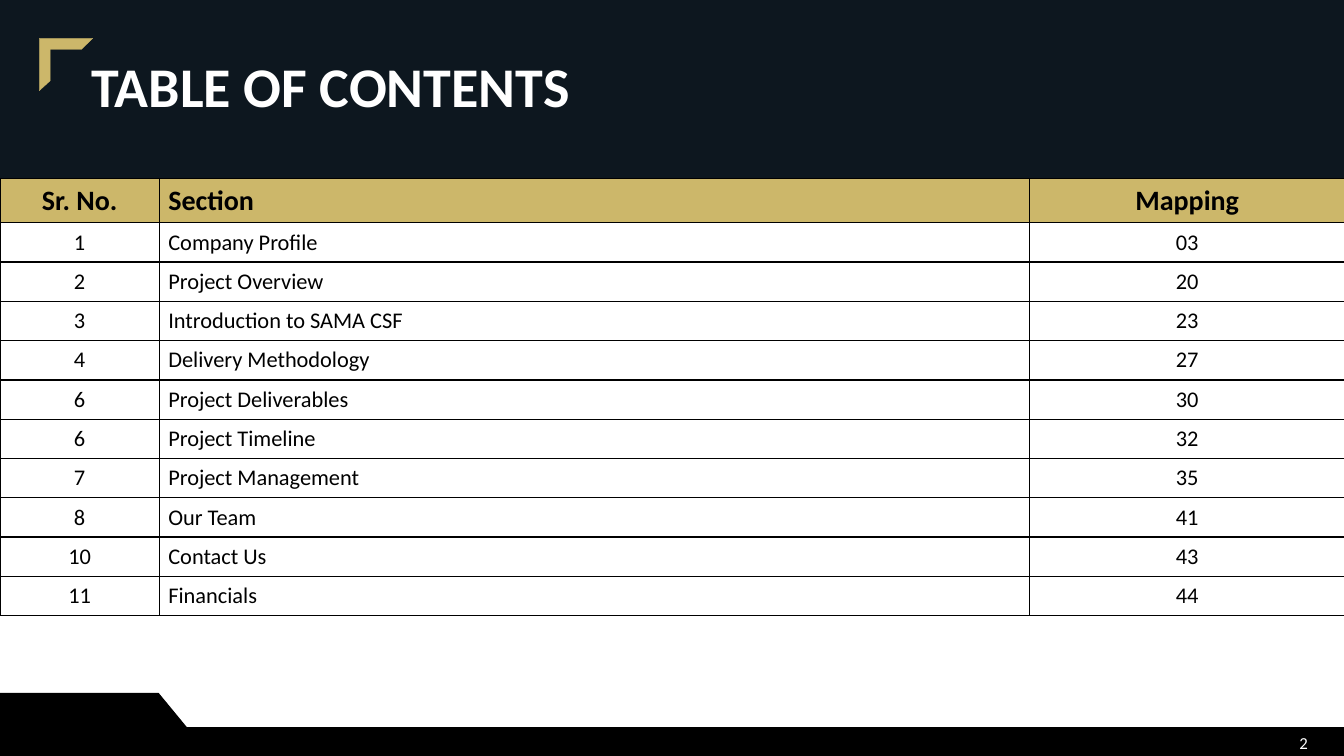
"""Build the table of contents slide."""
from dataclasses import dataclass

import pptx
import pptx.dml.color
import pptx.enum.shapes
import pptx.enum.text
import pptx.oxml
import pptx.oxml.ns
import pptx.util
from pptx.util import Inches

FONT = "Calibri"
BLACK, WHITE, NAVY, GOLD = "000000", "FFFFFF", "0D171F", "CCB76A"
SLIDE_W, SLIDE_H, HEADER_H = 13.33, 7.5, 1.77
COLUMN_WIDTHS = (1.58, 8.63, 3.13)
HEAD_ROW_H, BODY_ROW_H = 0.44, 0.39
LEFT = pptx.enum.text.PP_ALIGN.LEFT
CENTER = pptx.enum.text.PP_ALIGN.CENTER
RIGHT = pptx.enum.text.PP_ALIGN.RIGHT
MIDDLE = pptx.enum.text.MSO_ANCHOR.MIDDLE


@dataclass(frozen=True)
class Entry:
    number: str
    section: str
    mapping: str


@dataclass(frozen=True)
class Outline:
    points: tuple[tuple[float, float], ...]
    color: str
    line_width: float


HEADING = Entry("Sr. No.", "Section", "Mapping")
ENTRIES = (
    Entry("1", "Company Profile", "03"),
    Entry("2", "Project Overview", "20"),
    Entry("3", "Introduction to SAMA CSF", "23"),
    Entry("4", "Delivery Methodology", "27"),
    Entry("6", "Project Deliverables", "30"),
    Entry("6", "Project Timeline", "32"),
    Entry("7", "Project Management", "35"),
    Entry("8", "Our Team", "41"),
    Entry("10", "Contact Us", "43"),
    Entry("11", "Financials", "44"),
)
FOOTER_BAND = Outline(
    ((0, 6.88), (1.57, 6.88), (1.85, 7.22), (SLIDE_W, 7.22), (SLIDE_W, SLIDE_H), (0, SLIDE_H)),
    BLACK, 1)
TITLE_CORNER = Outline(
    ((0.39, 0.38), (0.39, 0.9), (0.5, 0.8), (0.5, 0.49), (0.81, 0.49), (0.92, 0.38)),
    GOLD, 0.16)


def rgb(color: str) -> pptx.dml.color.RGBColor:
    """Turn a hex string into a colour."""
    return pptx.dml.color.RGBColor.from_string(color)


def paint(fill, color: str) -> None:
    """Make a fill solid."""
    fill.solid()
    fill.fore_color.rgb = rgb(color)


def write(tf, text: str, size: float, color: str, align, bold: bool = False) -> None:
    """Put one formatted paragraph in a text frame."""
    tf.text = text
    p = tf.paragraphs[0]
    p.alignment = align
    r = p.runs[0]
    r.font.name, r.font.size, r.font.bold = FONT, pptx.util.Pt(size), bold
    r.font.color.rgb = rgb(color)


def draw_outline(s, outline: Outline) -> None:
    """Draw a closed outline in one colour."""
    points = [(Inches(x), Inches(y)) for x, y in outline.points]
    builder = s.shapes.build_freeform(*points[0], scale=1.0)
    builder.add_line_segments(points[1:], close=True)
    sp = builder.convert_to_shape()
    sp.shadow.inherit = False
    paint(sp.fill, outline.color)
    paint(sp.line.fill, outline.color)
    sp.line.width = pptx.util.Pt(outline.line_width)


def draw_title(s) -> None:
    """Draw the dark header with the slide title."""
    sp = s.shapes.add_shape(pptx.enum.shapes.MSO_SHAPE.RECTANGLE,
                            0, 0, Inches(SLIDE_W), Inches(HEADER_H))
    sp.shadow.inherit = False
    paint(sp.fill, NAVY)
    sp.line.fill.background()
    tf = sp.text_frame
    tf.margin_left = Inches(0.91)
    tf.vertical_anchor = MIDDLE
    write(tf, "TABLE OF CONTENTS", 40, WHITE, LEFT, True)
    tf.paragraphs[0].line_spacing = 0.9


def draw_page_number(s) -> None:
    """Write the page number on the footer band."""
    sp = s.shapes.add_textbox(Inches(10.07), Inches(7.17), Inches(3), Inches(0.4))
    tf = sp.text_frame
    tf.word_wrap = True
    tf.vertical_anchor = MIDDLE
    write(tf, "2", 12, WHITE, RIGHT)


def add_borders(cell) -> None:
    """Give a cell thin black borders."""
    tc_pr = cell._tc.get_or_add_tcPr()
    for side in ("lnL", "lnR", "lnT", "lnB"):
        tc_pr.append(pptx.oxml.parse_xml(
            f'<a:{side} {pptx.oxml.ns.nsdecls("a")} w="12700">'
            f'<a:solidFill><a:srgbClr val="{BLACK}"/></a:solidFill></a:{side}>'))


def draw_contents(s) -> None:
    """Draw the table of sections."""
    rows = (HEADING, *ENTRIES)
    height = HEAD_ROW_H + BODY_ROW_H * len(ENTRIES)
    table = s.shapes.add_table(len(rows), len(COLUMN_WIDTHS), 0, Inches(HEADER_H),
                               Inches(SLIDE_W), Inches(height)).table
    table.horz_banding = False
    for column, width in zip(table.columns, COLUMN_WIDTHS):
        column.width = Inches(width)
    for i, entry in enumerate(rows):
        is_head = i == 0
        table.rows[i].height = Inches(HEAD_ROW_H if is_head else BODY_ROW_H)
        for j, text in enumerate((entry.number, entry.section, entry.mapping)):
            cell = table.cell(i, j)
            cell.vertical_anchor = MIDDLE
            cell.margin_left = cell.margin_right = Inches(0.09)
            cell.margin_top = cell.margin_bottom = Inches(0.05)
            add_borders(cell)
            paint(cell.fill, GOLD if is_head else WHITE)
            write(cell.text_frame, text, 20 if is_head else 16, BLACK,
                  LEFT if j == 1 else CENTER, is_head)


def main() -> None:
    """Build and save the slide."""
    prs = pptx.Presentation()
    prs.slide_width, prs.slide_height = Inches(SLIDE_W), Inches(SLIDE_H)
    s = prs.slides.add_slide(prs.slide_layouts[6])
    draw_outline(s, FOOTER_BAND)
    draw_page_number(s)
    draw_title(s)
    draw_contents(s)
    draw_outline(s, TITLE_CORNER)
    prs.save("out.pptx")


if __name__ == "__main__":
    main()
